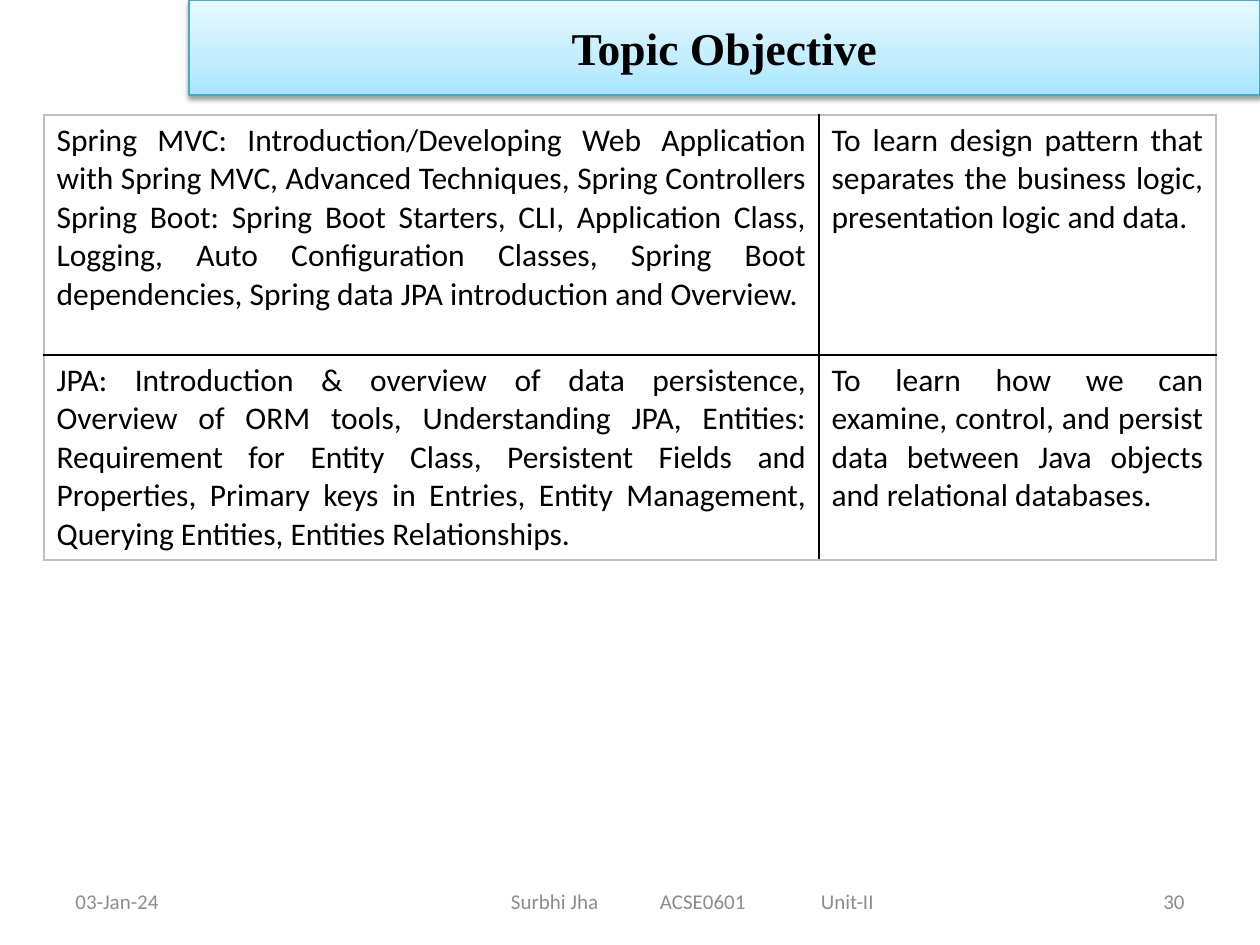
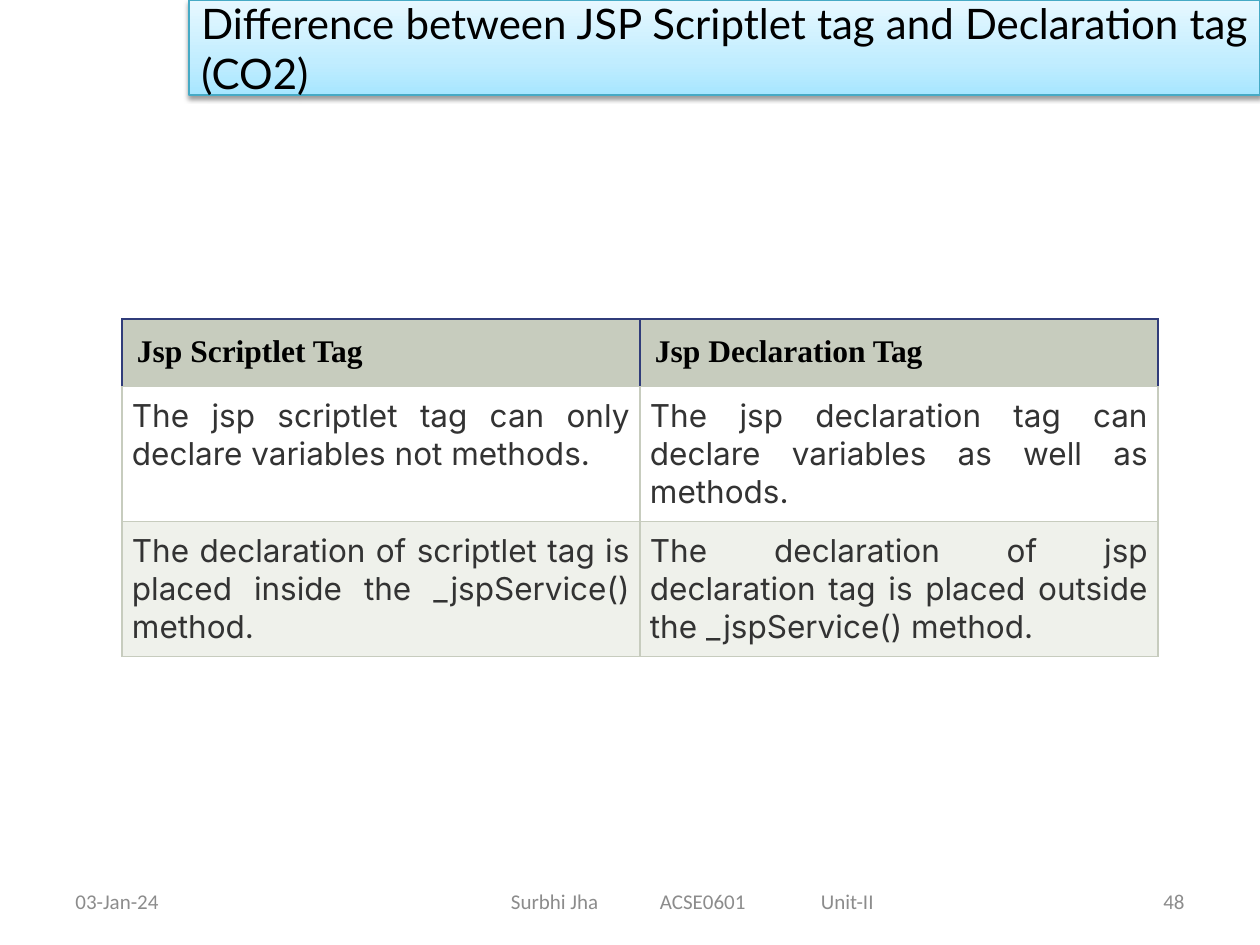
import pptx
import pptx.util
import pptx.oxml
import pptx.oxml.ns
import pptx.dml.color
import pptx.enum.shapes
import pptx.enum.text
import copy
import lxml.etree

RGB = pptx.dml.color.RGBColor
ALIGN = pptx.enum.text.PP_ALIGN
MIDDLE = pptx.enum.text.MSO_ANCHOR.MIDDLE
Pt = pptx.util.Pt
qn = pptx.oxml.ns.qn

EMU_PER_PX = 914400 / 126
SLIDE_SIZE = (1260, 945)

BLACK = RGB(0x00, 0x00, 0x00)
WHITE = RGB(0xFF, 0xFF, 0xFF)
FOOTER_GREY = RGB(0x8C, 0x8C, 0x8C)
FRAME_GREY = RGB(0xBF, 0xBF, 0xBF)
BODY_GREY = RGB(0x33, 0x33, 0x33)
BAND_LINE = RGB(0x46, 0xAA, 0xC5)
BAND_STOPS = [(0, RGB(0xA7, 0xE6, 0xFF)),
              (0.35, RGB(0xC1, 0xED, 0xFF)),
              (1, RGB(0xE7, 0xF8, 0xFF))]
SAGE = RGB(0xC7, 0xCC, 0xBE)
PALE_SAGE = RGB(0xEF, 0xF1, 0xEB)
NAVY = RGB(0x30, 0x3C, 0x7A)

TITLE_BOX = (189, 0, 1071, 95)
DATE_BOX = (63, 876, 294, 50)
COURSE_BOX = (347, 876, 693, 50)
NUMBER_BOX = (903, 876, 294, 50)
COURSE_INDENT = 164          # start of the first course item
COURSE_TABS = (149, 310)     # later items, from the first one

OBJECTIVES = [
    ("Spring MVC: Introduction/Developing Web Application with Spring MVC, "
     "Advanced Techniques, Spring Controllers\v"
     "Spring Boot: Spring Boot Starters, CLI, Application Class, Logging, "
     "Auto Configuration Classes, Spring Boot dependencies, Spring data JPA "
     "introduction and Overview.",
     "To learn design pattern that separates the business logic, "
     "presentation logic and data."),
    ("JPA: Introduction & overview of data persistence, Overview of ORM tools, "
     "Understanding JPA, Entities: Requirement for Entity Class, Persistent "
     "Fields and Properties, Primary keys in Entries, Entity Management, "
     "Querying Entities, Entities Relationships.",
     "To learn how we can examine, control, and persist data between Java "
     "objects and relational databases."),
]
TAG_DIFFERENCES = [
    ("Jsp Scriptlet Tag", "Jsp Declaration Tag"),
    ("The jsp scriptlet tag can only declare variables not methods.",
     "The jsp declaration tag can declare variables as well as methods."),
    ("The declaration of scriptlet tag is placed inside the _jspService() method.",
     "The declaration of jsp declaration tag is placed outside the "
     "_jspService() method."),
]


def px(length):
    return pptx.util.Emu(round(length * EMU_PER_PX))


def write(frame, text, font, size, color, align=ALIGN.LEFT, bold=False):
    frame.text = text
    frame.word_wrap = True
    paragraph = frame.paragraphs[0]
    paragraph.alignment = align
    paragraph.font.name = font
    paragraph.font.size = Pt(size)
    paragraph.font.bold = bold
    paragraph.font.color.rgb = color
    return paragraph


def add_title_band(slide, box, title, font, size, align, bold=False):
    band = slide.shapes.add_shape(
        pptx.enum.shapes.MSO_SHAPE.RECTANGLE, *map(px, box))
    band.line.color.rgb = BAND_LINE
    band.line.width = Pt(0.75)

    # Three-stop gradient, darkest at the bottom
    band.fill.gradient()
    band.fill.gradient_angle = 90
    stop_list = band._element.spPr.find(".//" + qn("a:gsLst"))
    stop_list.append(copy.deepcopy(stop_list[0]))
    for stop, (position, color) in zip(band.fill.gradient_stops, BAND_STOPS):
        stop.position = position
        stop.color.rgb = color

    # Soft shadow below
    band.shadow.inherit = False
    effects = band._element.spPr.find(qn("a:effectLst"))
    shadow = lxml.etree.SubElement(
        effects, qn("a:outerShdw"), blurRad=str(Pt(3.1)), dist=str(Pt(1.6)),
        dir="5400000", rotWithShape="0")
    shade = lxml.etree.SubElement(shadow, qn("a:srgbClr"), val=str(BLACK))
    lxml.etree.SubElement(shade, qn("a:alpha"), val="38000")

    band.text_frame.vertical_anchor = MIDDLE
    write(band.text_frame, title, font, size, BLACK, align, bold)


def add_footer_text(slide, box, text, align=ALIGN.LEFT):
    frame = slide.shapes.add_textbox(*map(px, box)).text_frame
    frame.vertical_anchor = MIDDLE
    paragraph = write(frame, text, "Calibri", 12, FOOTER_GREY, align)
    return frame, paragraph


def add_footer(slide, number):
    add_footer_text(slide, DATE_BOX, "03-Jan-24")
    add_footer_text(slide, NUMBER_BOX, str(number), ALIGN.RIGHT)

    # Course line, spaced with tab stops
    frame, course = add_footer_text(
        slide, COURSE_BOX, "Surbhi Jha\tACSE0601\tUnit-II")
    frame.margin_left = px(COURSE_INDENT)
    tabs = lxml.etree.SubElement(course._p.get_or_add_pPr(), qn("a:tabLst"))
    # Tab stops precede the default run properties
    tabs.getparent().insert(0, tabs)
    for position in COURSE_TABS:
        lxml.etree.SubElement(tabs, qn("a:tab"), pos=str(px(position)), algn="l")


def set_borders(cell, borders):
    """Take (colour, points) for the left, right, top and bottom edges."""
    properties = cell._tc.get_or_add_tcPr()
    for edge, (color, points) in zip("LRTB", borders):
        line = lxml.etree.SubElement(
            properties, qn("a:ln" + edge), w=str(Pt(points)))
        fill = lxml.etree.SubElement(line, qn("a:solidFill"))
        lxml.etree.SubElement(fill, qn("a:srgbClr"), val=str(color))


def add_plain_table(slide, box, columns, rows):
    table = slide.shapes.add_table(
        len(rows), len(columns), *map(px, box)).table
    table.first_row = table.horz_banding = False
    for column, width in zip(table.columns, columns):
        column.width = px(width)
    for row, height in zip(table.rows, rows):
        row.height = px(height)
    return table


def add_objectives_table(slide, box):
    table = add_plain_table(slide, box, (775, 397), (240, 205))
    outer, inner = (FRAME_GREY, 0.75), (BLACK, 1)
    for r, topic in enumerate(OBJECTIVES):
        for c, text in enumerate(topic):
            cell = table.cell(r, c)
            set_borders(cell, [inner if c else outer, outer if c else inner,
                               inner if r else outer, outer if r else inner])
            cell.fill.background()
            write(cell.text_frame, text, "Calibri", 18, BLACK, ALIGN.JUSTIFY)


def add_difference_table(slide, box):
    table = add_plain_table(slide, box, (518, 518), (67, 135, 135))
    row_fills = (SAGE, WHITE, PALE_SAGE)
    sage, navy = (SAGE, 0.75), (NAVY, 0.75)
    for r, pair in enumerate(TAG_DIFFERENCES):
        is_header = r == 0
        for c, text in enumerate(pair):
            cell = table.cell(r, c)
            set_borders(cell, [navy] * 3 + [sage] if is_header else [sage] * 4)
            cell.fill.solid()
            cell.fill.fore_color.rgb = row_fills[r]
            inset = px(15 if is_header else 10)
            cell.margin_left = cell.margin_right = inset
            cell.margin_top = cell.margin_bottom = inset
            if is_header:
                write(cell.text_frame, text, "Times New Roman", 18, BLACK,
                      bold=True)
            else:
                write(cell.text_frame, text, "Inter", 18, BODY_GREY,
                      ALIGN.JUSTIFY)


def build_objective_slide(slide):
    add_title_band(slide, TITLE_BOX, "Topic Objective", "Times New Roman", 26,
                   ALIGN.CENTER, bold=True)
    add_objectives_table(slide, (44, 115, 1172, 445))
    add_footer(slide, 30)


def build_difference_slide(slide):
    add_difference_table(slide, (122, 319, 1036, 337))
    add_footer(slide, 48)
    add_title_band(slide, TITLE_BOX,
                   "Difference between JSP Scriptlet tag and Declaration tag (CO2)",
                   "Lato", 24, ALIGN.JUSTIFY)


def main():
    deck = pptx.Presentation()
    deck.slide_width, deck.slide_height = map(px, SLIDE_SIZE)
    blank = deck.slide_layouts[6]
    for build in (build_objective_slide, build_difference_slide):
        build(deck.slides.add_slide(blank))
    deck.save("out.pptx")


if __name__ == "__main__":
    main()
